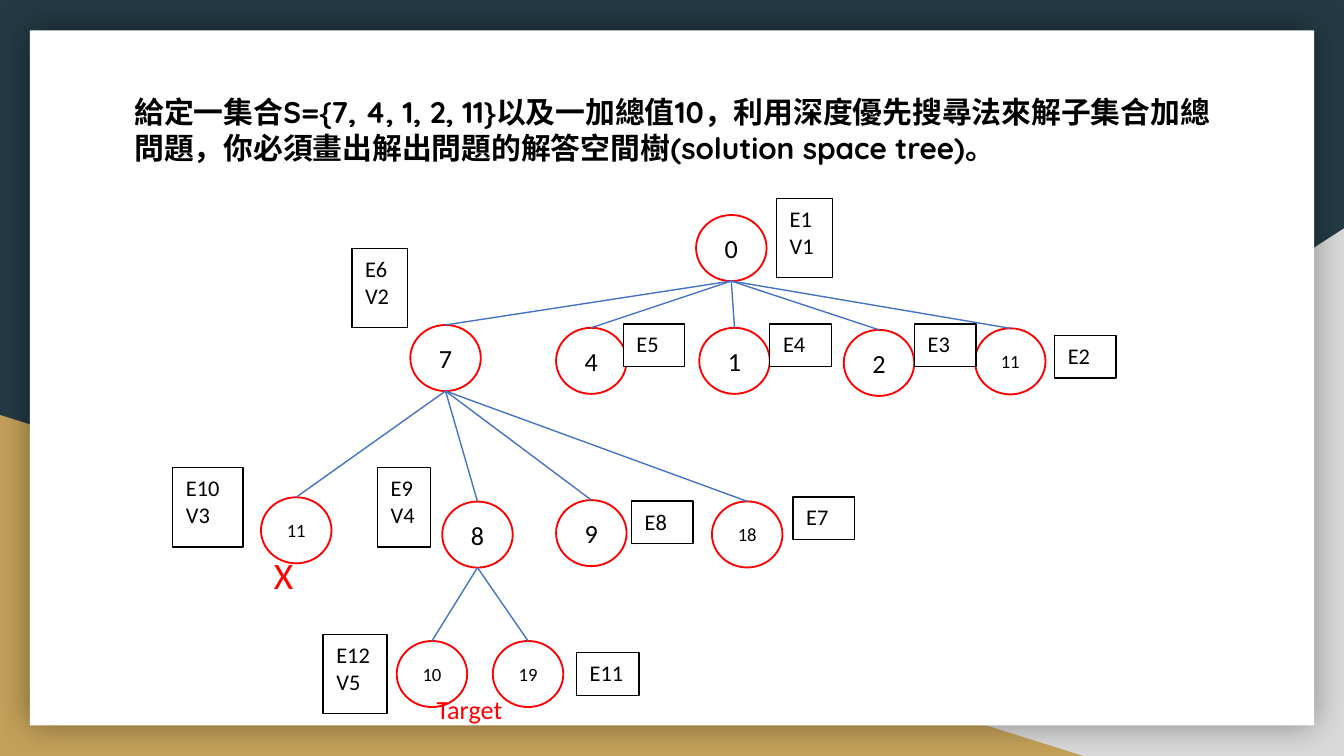
"""Build a slide with the depth-first solution space tree of a subset-sum problem."""
from lxml import etree
from pptx import Presentation
from pptx.dml.color import RGBColor
from pptx.enum import shapes, text
from pptx.oxml import ns
from pptx.util import Pt

THEME = {
    "dark": "233A44", "grey": "D9D9D9", "gold": "C4A15A", "white": "FFFFFF",
    "black": "000000", "red": "FF0000", "blue": "4472C4",
    "title_font": "Quicksand", "body_font": "Calibri",
    "title": 16, "node": 14, "small_node": 10, "label": 12, "cross": 20, "target": 14,
}
KIND = shapes.MSO_SHAPE


def colour(name):
    return RGBColor.from_string(THEME[name])


def write(shape, lines, size, ink="black", font="body_font", bold=False, align="LEFT",
          anchor="TOP", margin=3.6):
    frame = shape.text_frame
    frame_format = {
        "text": "\n".join(lines), "word_wrap": True, "auto_size": text.MSO_AUTO_SIZE.NONE,
        "vertical_anchor": text.MSO_ANCHOR[anchor], "margin_left": Pt(7.2),
        "margin_right": Pt(7.2), "margin_top": Pt(margin), "margin_bottom": Pt(margin),
    }
    for name, value in frame_format.items():
        setattr(frame, name, value)
    for para in frame.paragraphs:
        para.alignment = text.PP_ALIGN[align]
        for span in para.runs:
            for name, value in {"name": THEME[font], "size": Pt(THEME[size]), "bold": bold}.items():
                setattr(span.font, name, value)
            span.font.color.rgb = colour(ink)


deck = Presentation()
deck.slide_width, deck.slide_height = Pt(720), Pt(405)
page = deck.slides.add_slide(deck.slide_layouts[5])
page.background.fill.solid()
page.background.fill.fore_color.rgb = colour("dark")

title = page.shapes.title
for name, value in {"left": 64.8, "top": 43.2, "width": 592.6, "height": 74.9}.items():
    setattr(title, name, Pt(value))
write(title, ["給定一集合S={7, 4, 1, 2, 11}以及一加總值10，利用深度優先搜尋法來解子集合加總問題，"
              "你必須畫出解出問題的解答空間樹(solution space tree)。"],
      "title", font="title_font", bold=True, margin=7.2)
title_span = title.text_frame.paragraphs[0].runs[0]
etree.SubElement(title_span.font._element, ns.qn("a:ea"), typeface=THEME["title_font"])

backdrop = [
    (KIND.RIGHT_TRIANGLE, (282.2, 122.4, 437.8, 282.6), "grey"),
    (KIND.RIGHT_TRIANGLE, (0, 222.3, 580.3, 182.7), "gold"),
    (KIND.RECTANGLE, (16, 16.3, 688, 372.4), "white"),
]
panels = []
for kind, box, fill in backdrop:
    panel = page.shapes.add_shape(kind, *map(Pt, box))
    panel.shadow.inherit = False
    panel.fill.solid()
    panel.fill.fore_color.rgb = colour(fill)
    panel.line.fill.background()
    title.element.addprevious(panel.element)
    panels.append(panel)
panels[0].element.spPr.find(ns.qn("a:xfrm")).set("flipH", "1")
effects = panels[2].element.spPr.find(ns.qn("a:effectLst"))
shadow = etree.SubElement(effects, ns.qn("a:outerShdw"), blurRad=str(Pt(18)), dist="0", dir="0",
                          algn="ctr", rotWithShape="0")
shadow_colour = etree.SubElement(shadow, ns.qn("a:srgbClr"), val=THEME["black"])
etree.SubElement(shadow_colour, ns.qn("a:alpha"), val="40000")

NODE_WIDTH, NODE_HEIGHT = 37.8, 35.4
nodes = [
    ("0", 372.9, 115.2, None),
    ("7", 219.8, 174.1, 0), ("4", 297.9, 175.6, 0), ("1", 374.6, 175.6, 0),
    ("2", 452, 176.7, 0), ("11", 522.3, 175.9, 0),
    ("11", 139.8, 266.4, 1), ("8", 236.9, 268.7, 1),
    ("9", 297.9, 267.9, 1), ("18", 381.4, 268.6, 1),
    ("10", 212.5, 343.4, 7), ("19", 264, 343.4, 7),
]
for value, left, top, parent in nodes:
    node = page.shapes.add_shape(KIND.OVAL, Pt(left), Pt(top), Pt(NODE_WIDTH), Pt(NODE_HEIGHT))
    node.shadow.inherit = False
    node.fill.solid()
    node.fill.fore_color.rgb = colour("white")
    node.line.color.rgb = colour("red")
    node.line.width = Pt(1)
    write(node, [value], "node" if len(value) == 1 else "small_node",
          align="CENTER", anchor="MIDDLE")

for value, left, top, parent in nodes[1:]:
    start_left, start_top = nodes[parent][1:3]
    ends = (start_left + NODE_WIDTH / 2, start_top + NODE_HEIGHT, left + NODE_WIDTH / 2, top)
    branch = page.shapes.add_connector(shapes.MSO_CONNECTOR.STRAIGHT, *map(Pt, ends))
    branch.line.color.rgb = colour("blue")
    branch.line.width = Pt(0.75)
    etree.SubElement(branch.element.spPr, ns.qn("a:effectLst"))

labels = [
    ("E1 V1", 416, 106.4, 30), ("E6 V2", 188.5, 133.2, 30), ("E10 V3", 92.5, 250.6, 37.8),
    ("E12 V5", 173.1, 340, 34.3), ("E9 V4", 202.2, 250.6, 28.4),
    ("E2", 565, 179.8, 33), ("E7", 424.8, 266.2, 33), ("E5", 333.9, 173.6, 33),
    ("E4", 412.4, 173.6, 33), ("E3", 489.9, 173.6, 33), ("E11", 308.8, 349.7, 33.5),
    ("E8", 338.3, 268.5, 33),
]
for words, left, top, width in labels:
    lines = words.split()
    height = 42.4 if len(lines) == 2 else 22.8
    label = page.shapes.add_shape(KIND.RECTANGLE, Pt(left), Pt(top), Pt(width), Pt(height))
    label.shadow.inherit = False
    label.fill.solid()
    label.fill.fore_color.rgb = colour("white")
    label.line.color.rgb = colour("black")
    label.line.width = Pt(0.75)
    write(label, lines, "label")

for words, box, size in [("X", (139.7, 288.7, 22.3, 38.9), "cross"),
                         ("Target", (226.8, 364.3, 54.7, 31.7), "target")]:
    mark = page.shapes.add_textbox(*map(Pt, box))
    write(mark, [words], size, ink="red", margin=7.2)

deck.save("out.pptx")
